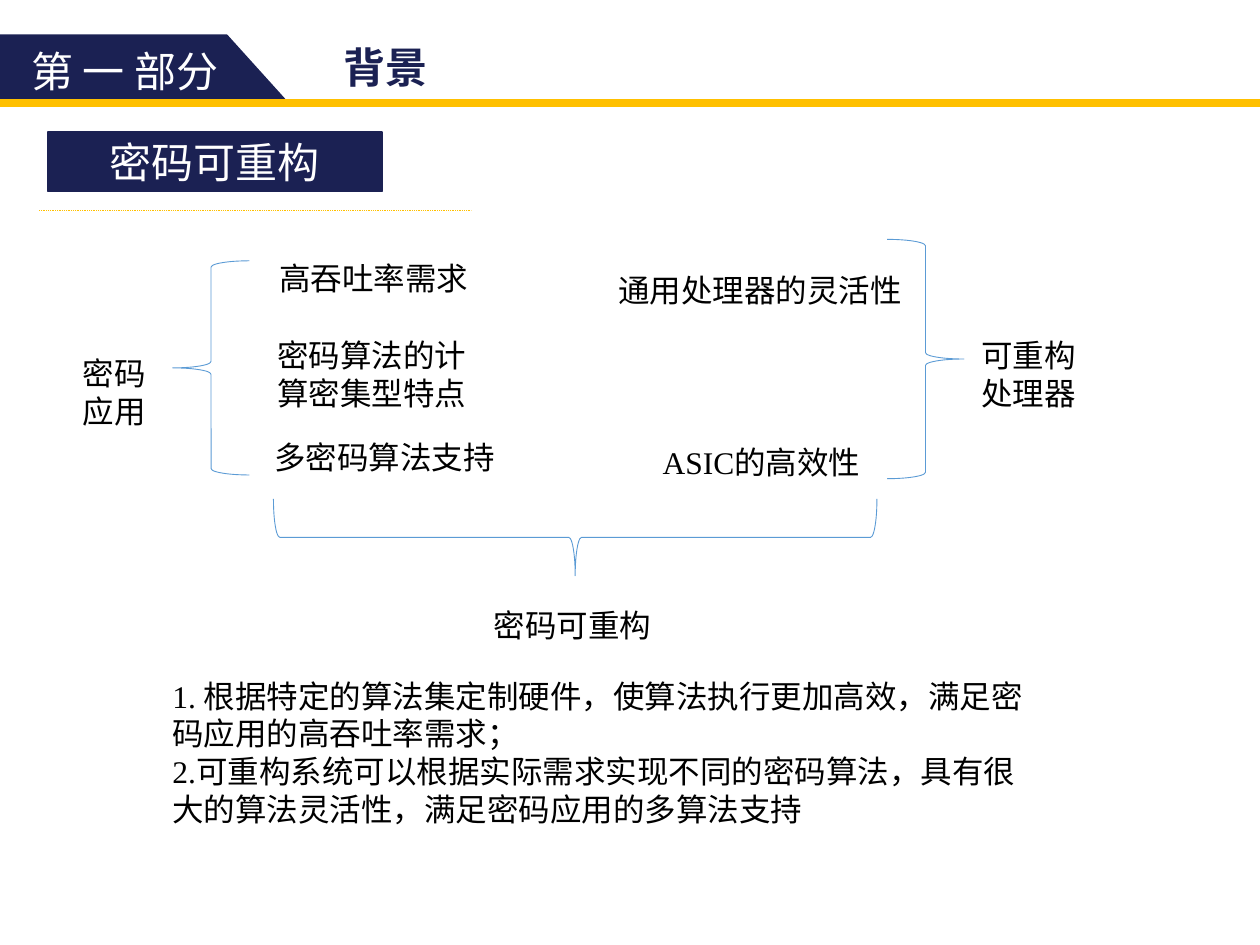
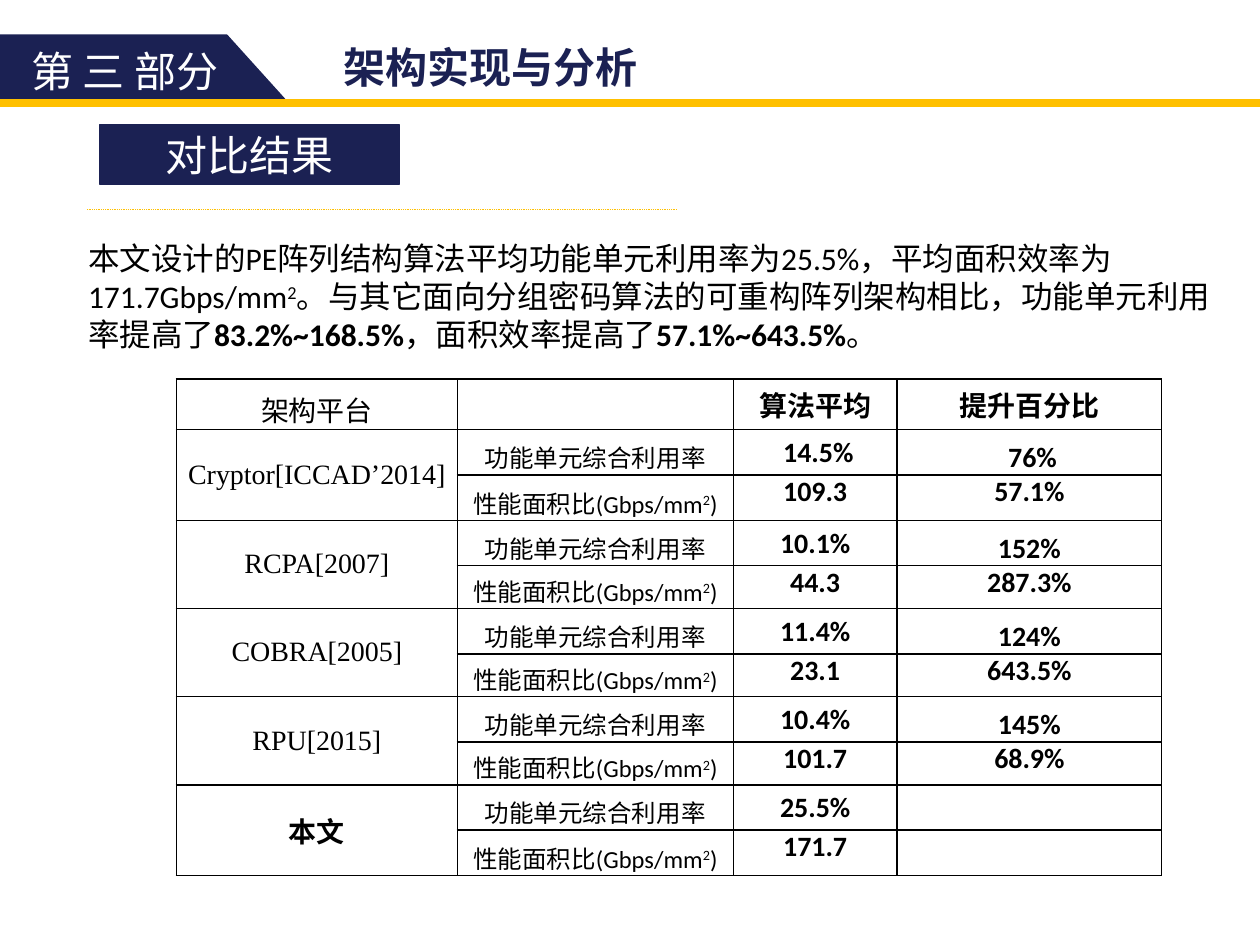
from lxml import etree
from pptx import Presentation
from pptx.dml.color import RGBColor
from pptx.enum.dml import MSO_LINE
from pptx.enum.shapes import MSO_CONNECTOR, MSO_SHAPE as Shape
from pptx.enum.text import MSO_ANCHOR as Anchor, MSO_AUTO_SIZE as AutoSize, PP_ALIGN as Align
from pptx.oxml.ns import qn
from pptx.util import Inches, Pt

NAVY = RGBColor(0x1B, 0x21, 0x53)
GOLD = RGBColor(0xFF, 0xC0, 0x00)
BLUE = RGBColor(0x5B, 0x9B, 0xD5)
BLACK = RGBColor(0, 0, 0)
WHITE = RGBColor(0xFF, 0xFF, 0xFF)

CJK, SANS, SERIF = "Noto Sans CJK SC", "Calibri", "Times New Roman"
BODY = {"size": Pt(18), "name": SANS, "color": BLACK, "bold": False}
SERIF_BODY = BODY | {"name": SERIF}
TITLE = {"size": Pt(24), "name": CJK, "color": NAVY, "bold": True}
LABEL = TITLE | {"color": WHITE, "bold": False}
BOLD, RAISED = {"bold": True}, {"raised": True}


def place(box):
    return [Inches(value) for value in box]


def write(para, spans, style, align=Align.LEFT):
    """Fill a paragraph with plain strings or (string, style changes) pairs."""
    para.alignment = align
    for item in [spans] if isinstance(spans, str) else spans:
        text, changes = (item, {}) if isinstance(item, str) else item
        span = para.add_run()
        span.text = text
        for key, value in (style | changes).items():
            if key == "color":
                span.font.color.rgb = value
            elif key == "raised":
                span._r.get_or_add_rPr().set("baseline", "30000")
            else:
                setattr(span.font, key, value)
        etree.SubElement(span._r.get_or_add_rPr(), qn("a:ea"), typeface=CJK)


def add_text(slide, box, paragraphs, style, wrap=True):
    frame = slide.shapes.add_textbox(*place(box)).text_frame
    frame.word_wrap = wrap
    for index, spans in enumerate(paragraphs):
        para = frame.add_paragraph() if index else frame.paragraphs[0]
        write(para, spans, style)


def paint(shape, color):
    shape.shadow.inherit = False
    shape.fill.solid()
    shape.fill.fore_color.rgb = color
    shape.line.color.rgb = color
    shape.line.width = Pt(1)


def add_bar(slide, box, color):
    bar = slide.shapes.add_shape(Shape.RECTANGLE, *place(box))
    paint(bar, color)
    return bar


def add_brace(slide, kind, box, rotation=0):
    brace = slide.shapes.add_shape(kind, *place(box))
    brace.shadow.inherit = False
    brace.fill.background()
    brace.line.color.rgb = BLUE
    brace.line.width = Pt(0.5)
    brace.rotation = rotation


def add_header(slide, part, title, title_font):
    """Section tab, gold rule and slide title."""
    outline = slide.shapes.build_freeform(0, Inches(0.28))
    outline.add_line_segments(
        [place(point) for point in ((1.8, 0.28), (2.26, 0.79), (0, 0.79))])
    paint(outline.convert_to_shape(), NAVY)
    add_bar(slide, (0, 0.79, 10, 0.05), GOLD)
    add_text(slide, (0.15, 0.31, 1.75, 0.51), [part], LABEL, wrap=False)

    heading = slide.shapes.title
    heading.left, heading.top, heading.width, heading.height = place((2.63, 0.28, 2.56, 0.5))
    frame = heading.text_frame
    settings = {"word_wrap": False, "auto_size": AutoSize.NONE, "vertical_anchor": Anchor.TOP}
    for key, value in settings.items():
        setattr(frame, key, value)
    write(frame.paragraphs[0], title, TITLE | {"name": title_font})


def add_topic(slide, box, text, rule_start, rule_end, rule_y):
    """Navy topic label with a dotted gold rule under it."""
    frame = add_bar(slide, box, NAVY).text_frame
    frame.vertical_anchor = Anchor.MIDDLE
    write(frame.paragraphs[0], text, LABEL, Align.CENTER)
    rule = slide.shapes.add_connector(
        MSO_CONNECTOR.STRAIGHT, *place((rule_start, rule_y, rule_end, rule_y)))
    rule.line.color.rgb = GOLD
    rule.line.width = Pt(0.5)
    rule.line.dash_style = MSO_LINE.ROUND_DOT
    etree.SubElement(rule._element.spPr, qn("a:effectLst"))


def add_brace_diagram(slide, left, top):
    """Needs on the left, processor traits on the right, joined below."""
    braces = [
        (Shape.LEFT_BRACE, 0.81, 0.2, 0.61, 1.7, 0),
        (Shape.RIGHT_BRACE, 6.48, 0.03, 0.61, 1.9, 0),
        (Shape.RIGHT_BRACE, 3.7, 0, 0.61, 4.79, 90),
    ]
    for kind, x, y, width, height, rotation in braces:
        add_brace(slide, kind, (left + x, top + y, width, height), rotation)
    labels = [
        ("密码应用", 0, 0.89, 0.76, 0.71, BODY),
        ("高吞吐率需求", 1.56, 0.14, 2.4, 0.4, SERIF_BODY),
        ("密码算法的计算密集型特点", 1.54, 0.75, 1.75, 0.71, BODY),
        ("多密码算法支持", 1.52, 1.56, 2.4, 0.4, BODY),
        ("通用处理器的灵活性", 4.25, 0.23, 2.47, 0.4, SERIF_BODY),
        ("ASIC的高效性", 4.6, 1.6, 1.79, 0.71, SERIF_BODY),
        ("可重构处理器", 7.13, 0.75, 1.13, 0.71, BODY),
        ("密码可重构", 3.26, 2.89, 1.48, 0.4, BODY),
    ]
    for text, x, y, width, height, style in labels:
        add_text(slide, (left + x, top + y, width, height), [text], style)


def outline_cell(cell):
    properties = cell._tc.get_or_add_tcPr()
    for index, side in enumerate(("a:lnL", "a:lnR", "a:lnT", "a:lnB")):
        edge = etree.Element(qn(side), w=str(Pt(1)))
        fill = etree.SubElement(edge, qn("a:solidFill"))
        etree.SubElement(fill, qn("a:srgbClr"), val=str(BLACK))
        properties.insert(index, edge)


def fill_cell(cell, spans, changes, anchor, side=0.05, top=0):
    margins = {"margin_left": side, "margin_right": side, "margin_top": top, "margin_bottom": 0}
    for key, value in margins.items():
        setattr(cell, key, Inches(value))
    cell.vertical_anchor = anchor
    write(cell.text_frame.paragraphs[0], spans, BODY | {"size": Pt(16)} | changes, Align.CENTER)


def add_comparison_table(slide, box):
    header = [("架构平台", {}, Anchor.BOTTOM), ("", {}, Anchor.MIDDLE),
              ("算法平均", BOLD, Anchor.MIDDLE), ("提升百分比", BOLD, Anchor.MIDDLE)]
    use_metric = "功能单元综合利用率"
    area_metric = ["性能面积比(Gbps/mm", ("2", RAISED), ")"]
    platforms = [
        ("Cryptor[ICCAD’2014]", " 14.5%", " 76%", "109.3", "57.1%"),
        ("RCPA[2007]", "10.1%", "152%", "44.3", "287.3%"),
        ("COBRA[2005]", "11.4%", "124%", "23.1", "643.5%"),
        ("RPU[2015]", "10.4%", "145%", "101.7", "68.9%"),
        ("本文", "25.5%", "", "171.7", ""),
    ]
    heights = [0.4, 0.36, 0.36] + [0.36, 0.34] * 3 + [0.36, 0.36]

    table = slide.shapes.add_table(len(heights), 4, *place(box)).table
    table.first_row = table.horz_banding = False
    for column, width in zip(table.columns, (2.23, 2.19, 1.3, 2.1)):
        column.width = Inches(width)
    for row, height in zip(table.rows, heights):
        row.height = Inches(height)
    for cell in table.iter_cells():
        cell.fill.background()
        outline_cell(cell)

    for column, (text, changes, anchor) in enumerate(header):
        fill_cell(table.cell(0, column), text, changes, anchor)
    for index, (name, use, use_gain, area, area_gain) in enumerate(platforms):
        upper = 1 + 2 * index
        lower = upper + 1
        table.cell(upper, 0).merge(table.cell(lower, 0))
        name_style = BOLD if name == "本文" else {"name": SERIF}
        fill_cell(table.cell(upper, 0), name, name_style, Anchor.MIDDLE)
        for row, metric in ((upper, use_metric), (lower, area_metric)):
            fill_cell(table.cell(row, 1), metric, {"size": Pt(14)}, Anchor.BOTTOM)
        fill_cell(table.cell(upper, 2), use, BOLD, Anchor.MIDDLE, 0.01, 0.01)
        fill_cell(table.cell(upper, 3), use_gain, BOLD, Anchor.BOTTOM, 0.01, 0.01)
        for column, value in ((2, area), (3, area_gain)):
            fill_cell(table.cell(lower, column), value, BOLD, Anchor.TOP, 0.07)


def build_background(slide):
    add_header(slide, "第 一 部分", "背景", CJK)
    add_topic(slide, (0.38, 1.05, 2.65, 0.47), "密码可重构", 0.31, 3.74, 1.67)
    add_brace_diagram(slide, 0.56, 1.87)
    add_text(slide, (1.27, 5.32, 7.09, 1.31), [
        "1. 根据特定的算法集定制硬件，使算法执行更加高效，满足密码应用的高吞吐率需求；",
        "2.可重构系统可以根据实际需求实现不同的密码算法，具有很大的算法灵活性，满足密码应用的多算法支持",
    ], SERIF_BODY)


def build_comparison(slide):
    add_header(slide, "第 三 部分", "架构实现与分析", SERIF)
    add_topic(slide, (0.79, 0.99, 2.38, 0.47), "对比结果", 0.69, 5.37, 1.66)
    add_text(slide, (0.6, 1.85, 9.18, 1.01), [[
        "本文设计的PE阵列结构算法平均功能单元利用率为25.5%，平均面积效率为171.7Gbps/mm",
        ("2", RAISED),
        "。与其它面向分组密码算法的可重构阵列架构相比，功能单元利用率提高了",
        ("83.2%~168.5%", BOLD),
        "，面积效率提高了",
        ("57.1%~643.5%", BOLD),
        "。",
    ]], BODY)
    add_comparison_table(slide, (1.4, 3.01, 7.82, 3.94))


def main():
    deck = Presentation()
    deck.slide_width, deck.slide_height = Inches(10), Inches(7.5)
    title_only = deck.slide_layouts[5]
    for build in (build_background, build_comparison):
        build(deck.slides.add_slide(title_only))
    deck.save("out.pptx")


if __name__ == "__main__":
    main()
